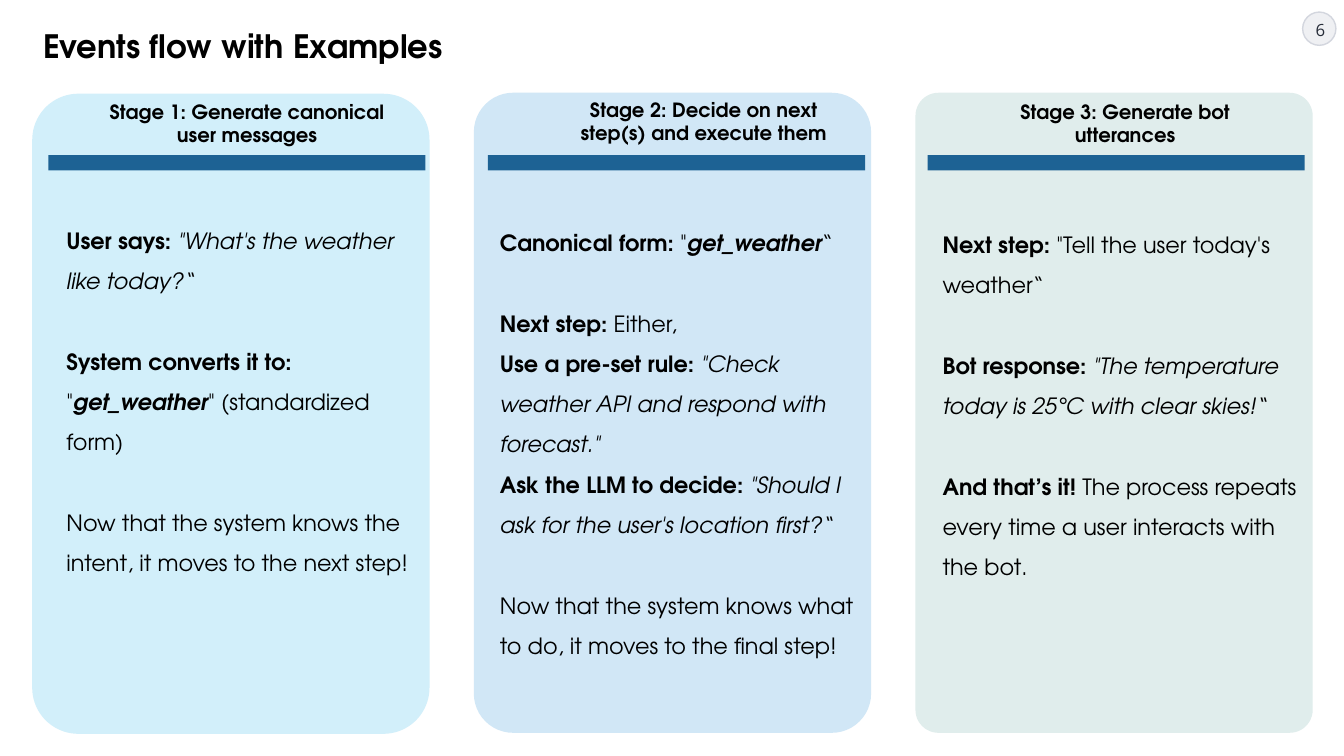
from dataclasses import dataclass

import pptx
import pptx.dml.color
import pptx.enum.shapes
import pptx.enum.text
import pptx.util

SHAPE = pptx.enum.shapes.MSO_SHAPE
ALIGN = pptx.enum.text.PP_ALIGN
PX = 9144  # EMU per px, 100 px to the inch

Box = tuple[int, int, int, int]
Run = tuple[str, str]  # wording, then a key of STYLES


@dataclass(frozen=True)
class Theme:
    font: str = "TeX Gyre Adventor"
    number_font: str = "Open Sans"
    ink: str = "000000"
    number_ink: str = "272D39"
    badge_fill: str = "EFF0F3"
    badge_line: str = "D3D6DE"
    bar: str = "1D6294"
    title_pt: int = 23
    heading_pt: int = 14
    body_pt: int = 16
    number_pt: int = 12
    gap_pt: float = 28.8


@dataclass(frozen=True)
class Para:
    runs: list[Run]
    gap: bool = False


@dataclass(frozen=True)
class Stage:
    heading: str
    heading_box: Box
    fill: str
    top: int
    corner: float
    body_box: Box
    body: list[Para]


THEME = Theme()
STYLES = {
    "plain": {"bold": False, "italic": False},
    "bold": {"bold": True, "italic": False},
    "italic": {"bold": False, "italic": True},
    "strong": {"bold": True, "italic": True},
}
CARD_LEFT, CARD_STEP, CARD_W, CARD_H = 32, 438, 394, 635
BAR_LEFT, BAR_STEP, BAR_TOP, BAR_W, BAR_H = 48, 436, 154, 374, 15

STAGES = [
    Stage("Stage 1: Generate canonical user messages", (94, 94, 302, 57),
          "D2EFFA", 93, 0.116, (56, 207, 364, 409), [
        Para([("User says: ", "bold"),
              ("\"What's the weather like today?“", "italic")]),
        Para([("System converts it to:", "bold"), (' "', "plain"),
              ("get_weather", "strong"),
              ('" (standardized form)', "plain")], gap=True),
        Para([("Now that the system knows the intent, "
               "it moves to the next step!", "plain")], gap=True),
    ]),
    Stage("Stage 2: Decide on next step(s) and execute them",
          (549, 92, 298, 57), "D1E7F6", 92, 0.099, (486, 209, 374, 490), [
        Para([("Canonical form:", "bold"), (' "', "plain"),
              ("get_weather", "strong"), ("“", "plain")]),
        Para([("Next step:", "bold"), (" Either,", "plain")], gap=True),
        Para([("Use a pre-set rule: ", "bold"),
              ('"Check weather API and respond with forecast."', "italic")]),
        Para([("Ask the LLM to decide: ", "bold"),
              ("\"Should I ask for the user's location first?“", "italic")]),
        Para([("Now that the system knows what to do, "
               "it moves to the final step!", "plain")], gap=True),
    ]),
    Stage("Stage 3: Generate bot utterances", (991, 94, 250, 57),
          "E0EDEC", 92, 0.058, (925, 211, 378, 409), [
        Para([("Next step:", "bold"),
              (" \"Tell the user today's weather“", "plain")]),
        Para([("Bot response: ", "bold"),
              ('"The temperature today is 25°C with clear skies!“',
               "italic")], gap=True),
        Para([("And that’s it!", "bold"),
              (" The process repeats every time a user interacts "
               "with the bot.", "plain")], gap=True),
    ]),
]


def rgb(value: str) -> pptx.dml.color.RGBColor:
    return pptx.dml.color.RGBColor.from_string(value)


def emu(box: Box) -> list[int]:
    return [v * PX for v in box]


def add_block(s, kind, box: Box, fill: str, line: str | None = None):
    sp = s.shapes.add_shape(kind, *emu(box))
    sp.shadow.inherit = False
    sp.fill.solid()
    sp.fill.fore_color.rgb = rgb(fill)
    if line:
        sp.line.color.rgb = rgb(line)
        sp.line.width = pptx.util.Pt(1)
    else:
        sp.line.fill.background()
    return sp


def add_text(s, box: Box, paras: list[Para], size: int, align=ALIGN.LEFT,
             spacing: float = 1.0, font: str = THEME.font,
             ink: str = THEME.ink):
    tf = s.shapes.add_textbox(*emu(box)).text_frame
    tf.word_wrap = True
    for i, para in enumerate(paras):
        p = tf.paragraphs[0] if i == 0 else tf.add_paragraph()
        p.alignment = align
        p.line_spacing = spacing
        if para.gap:
            p.space_before = pptx.util.Pt(THEME.gap_pt)
        for text, style in para.runs:
            r = p.add_run()
            r.text = text
            look = {"name": font, "size": pptx.util.Pt(size), **STYLES[style]}
            for key, value in look.items():
                setattr(r.font, key, value)
            r.font.color.rgb = rgb(ink)
    return tf


def add_stage(s, index: int, stage: Stage) -> None:
    card = add_block(s, SHAPE.ROUNDED_RECTANGLE,
                     (CARD_LEFT + index * CARD_STEP, stage.top,
                      CARD_W, CARD_H), stage.fill)
    card.adjustments[0] = stage.corner
    add_block(s, SHAPE.RECTANGLE,
              (BAR_LEFT + index * BAR_STEP, BAR_TOP, BAR_W, BAR_H), THEME.bar)
    add_text(s, stage.heading_box, [Para([(stage.heading, "bold")])],
             THEME.heading_pt, ALIGN.CENTER)
    add_text(s, stage.body_box, stage.body, THEME.body_pt, spacing=1.5)


def add_page_number(s, number: str) -> None:
    add_block(s, SHAPE.OVAL, (1292, 12, 33, 33),
              THEME.badge_fill, THEME.badge_line)
    tf = add_text(s, (1269, 20, 81, 20), [Para([(number, "plain")])],
                  THEME.number_pt, ALIGN.CENTER,
                  font=THEME.number_font, ink=THEME.number_ink)
    for side in ("left", "top", "right", "bottom"):
        setattr(tf, f"margin_{side}", 0)


def main() -> None:
    prs = pptx.Presentation()
    prs.slide_width, prs.slide_height = 1333 * PX, 750 * PX
    s = prs.slides.add_slide(prs.slide_layouts[6])
    add_page_number(s, "6")
    add_text(s, (33, 21, 1143, 42),
             [Para([("Events flow with Examples", "bold")])], THEME.title_pt)
    for index, stage in enumerate(STAGES):
        add_stage(s, index, stage)
    prs.save("out.pptx")


if __name__ == "__main__":
    main()
